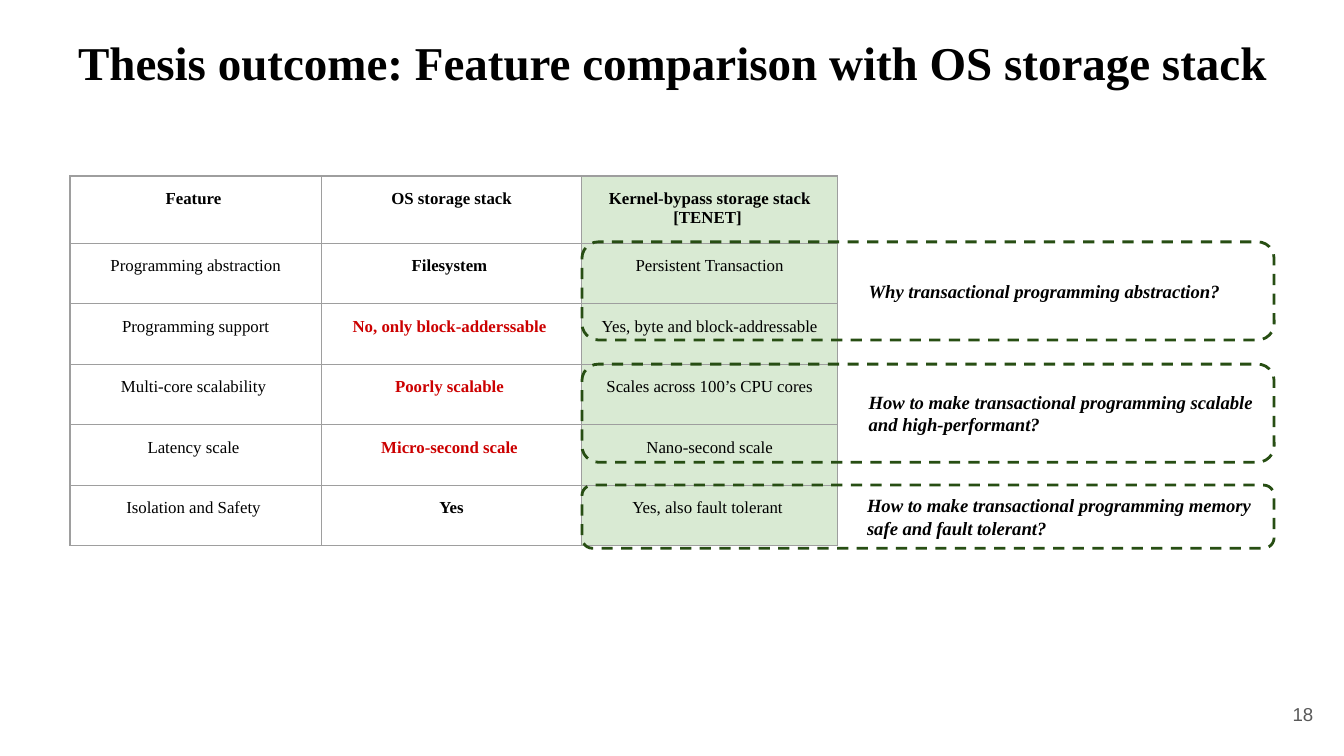
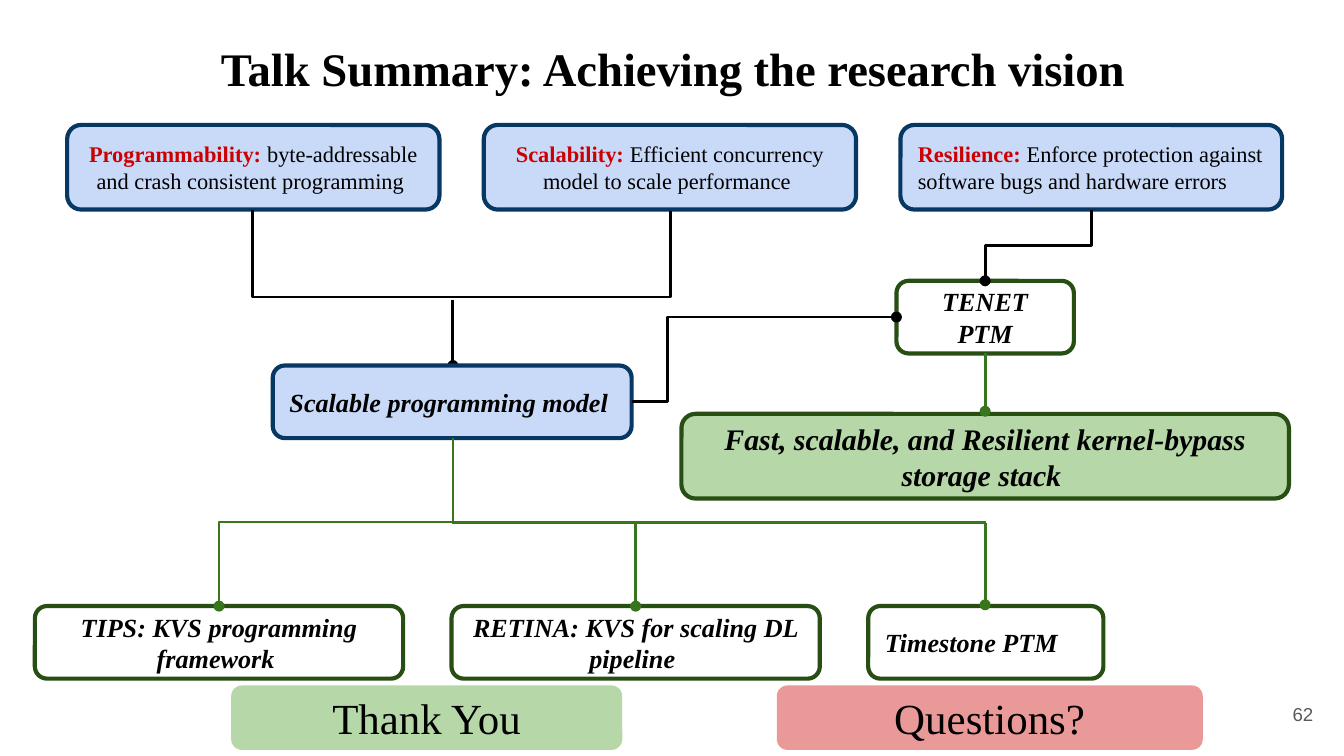
from lxml import etree
from pptx import Presentation
from pptx import util as u
from pptx.dml.color import RGBColor
from pptx.enum import dml, shapes, text
from pptx.oxml import ns

# Grid shared by both slides: 100 columns by 56.25 rows
SLIDE_W, SLIDE_H = u.Inches(10), u.Inches(5.625)
COL, ROW = SLIDE_W / 100, SLIDE_H / 56.25

COLORS = {
    "ink": "000000", "alert": "CC0000", "number": "595959",
    "rule": "9E9E9E", "column": "D9EAD3",
    "navy": "073763", "sky": "C9DAF8",
    "forest": "274E13", "leaf": "38761D", "mint": "B6D7A8", "rose": "EA9999",
}
SERIF, SANS = "Times New Roman", "Arial"
LEFT, CENTER, RIGHT = (text.PP_ALIGN.LEFT, text.PP_ALIGN.CENTER, text.PP_ALIGN.RIGHT)
TOP, MIDDLE, BOTTOM = (text.MSO_ANCHOR.TOP, text.MSO_ANCHOR.MIDDLE, text.MSO_ANCHOR.BOTTOM)
STRONG = {"bold": True, "italic": True}


def rgb(name):
    return RGBColor.from_string(COLORS[name])


def cols(count):
    return u.Emu(round(count * COL))


def rows(count):
    return u.Emu(round(count * ROW))


def place(left, top, width, height):
    return cols(left), rows(top), cols(width), rows(height)


def set_all(target, values):
    for name, value in values.items():
        setattr(target, name, value)


def sub(parent, tag, **attributes):
    return etree.SubElement(parent, ns.qn(tag), attributes)


# Text
def write(frame, lines, size, align=CENTER, anchor=MIDDLE, inset=1, font=SERIF,
          color="ink", indent=0, **style):
    """Each line is a string or a list of (string, overrides) spans."""
    margins = {f"margin_{side}": cols(inset) for side in ("left", "right", "top", "bottom")}
    set_all(frame, {"word_wrap": True, "vertical_anchor": anchor, **margins})
    for index, line in enumerate(lines):
        para = frame.paragraphs[0] if index == 0 else frame.add_paragraph()
        para.alignment = align
        if indent:
            properties = para._p.get_or_add_pPr()
            properties.set("marL", str(cols(indent)))
            properties.set("indent", "0")
        for words, changes in [(line, {})] if isinstance(line, str) else line:
            values = {"color": color, **style, **changes}
            span = para.add_run()
            span.text = words
            span.font.color.rgb = rgb(values.pop("color"))
            set_all(span.font, {"name": font, "size": u.Pt(size), **values})


def text_box(page, spot, words, size, **style):
    box = page.shapes.add_textbox(*place(*spot))
    write(box.text_frame, [words], size, **style)


def title(page, words, size, height, **style):
    text_box(page, (3, 1.5, 95, height), words, size, bold=True, **style)


def page_number(page, number):
    text_box(page, (92.7, 51, 6, 4.3), str(number), 10, align=RIGHT, font=SANS, color="number")


# Shapes
def rounded_box(page, spot, line, size, fill=None, edge=None, weight=2.25, dash=None, **style):
    box = page.shapes.add_shape(shapes.MSO_SHAPE.ROUNDED_RECTANGLE, *place(*spot))
    box.shadow.inherit = False
    if fill:
        box.fill.solid()
        box.fill.fore_color.rgb = rgb(fill)
    else:
        box.fill.background()
    if edge:
        box.line.color.rgb = rgb(edge)
        set_all(box.line, {"width": u.Pt(weight), "dash_style": dash})
    else:
        box.line.fill.background()
    write(box.text_frame, [line], size, **style)


# Connectors
def connector(page, start, end, color, kind="line", dot=True, bend=None):
    elbow = kind.startswith("bent")
    shape = page.shapes.add_connector(
        shapes.MSO_CONNECTOR.ELBOW if elbow else shapes.MSO_CONNECTOR.STRAIGHT,
        cols(start[0]), rows(start[1]), cols(end[0]), rows(end[1]))
    shape.line.color.rgb = rgb(color)
    shape.line.width = u.Pt(1.5)
    properties = shape._element.spPr
    geometry = properties.find(ns.qn("a:prstGeom"))
    geometry.set("prst", kind)
    if bend is not None:
        guides = geometry.find(ns.qn("a:avLst"))
        if guides is None:
            guides = sub(geometry, "a:avLst")
        sub(guides, "a:gd", name="adj1", fmla=f"val {round(bend * 100000)}")
    if dot:
        sub(properties.find(ns.qn("a:ln")), "a:tailEnd", type="oval")
    sub(properties, "a:effectLst")
    return shape


def drop(page, start, end, color, **options):
    """Elbow that leaves downwards: a sideways elbow turned a quarter."""
    (x1, y1), (x2, y2) = start, end
    mid_x, mid_y = (x1 + x2) / 2, (y1 + y2) / 2
    half_w, half_h = (y2 - y1) / 2, abs(x2 - x1) / 2
    side = 1 if x2 > x1 else -1
    shape = connector(page, (mid_x + side * half_w, mid_y - half_h),
                      (mid_x - side * half_w, mid_y + half_h),
                      color, "bentConnector3", **options)
    shape.rotation = 270 if side > 0 else 90


# Table
def border(cell):
    properties = cell._tc.get_or_add_tcPr()
    for index, side in enumerate(("a:lnL", "a:lnR", "a:lnT", "a:lnB")):
        line = etree.Element(ns.qn(side), w=str(u.Pt(0.75)))
        sub(sub(line, "a:solidFill"), "a:srgbClr", val=COLORS["rule"])
        properties.insert(index, line)


def feature_table(page, records, widths, heights):
    frame = page.shapes.add_table(len(records), len(widths),
                                  *place(5.2, 13.1, sum(widths), sum(heights)))
    table = frame.table
    set_all(table, {"first_row": False, "horz_banding": False})
    for column, width in zip(table.columns, widths):
        column.width = cols(width)
    for row, height in zip(table.rows, heights):
        row.height = rows(height)
    for r, record in enumerate(records):
        for c, words in enumerate(record):
            cell = table.cell(r, c)
            if c == 2:
                cell.fill.solid()
                cell.fill.fore_color.rgb = rgb("column")
            else:
                cell.fill.background()
            border(cell)
            weak = c == 1 and r in (2, 3, 4)
            write(cell.text_frame, words.split("\n"), 9, bold=r == 0 or c == 1,
                  color="alert" if weak else "ink")
            margins = ("margin_left", "margin_right", "margin_top", "margin_bottom")
            set_all(cell, {"vertical_anchor": TOP, **dict.fromkeys(margins, cols(1))})


FEATURES = [
    ("Feature ", "OS storage stack", "Kernel-bypass storage stack\n[TENET] "),
    ("Programming abstraction", "Filesystem ", "Persistent Transaction"),
    ("Programming support", "No, only block-adderssable ", "Yes, byte and block-addressable"),
    ("Multi-core scalability ", "Poorly scalable ", "Scales across 100’s CPU cores"),
    ("Latency scale ", "Micro-second scale ", "Nano-second scale"),
    ("Isolation and Safety ", "Yes", "Yes, also fault tolerant "),
]
QUESTIONS = [
    (18, 7.3, "Why transactional programming abstraction?"),
    (27.1, 7.3, "How to make transactional programming scalable and high-performant?"),
    (36.1, 4.7, "How to make transactional programming memory safe and fault tolerant?"),
]
GOALS = [
    (5, 27.7, CENTER, "Programmability: ", "byte-addressable and crash consistent programming "),
    (36, 27.7, CENTER, "Scalability: ", "Efficient concurrency model to scale performance "),
    (67, 28.4, LEFT, "Resilience: ",
     "Enforce protection against software bugs and hardware errors"),
]
SYSTEMS = [
    (2.6, 27.4, CENTER, "TIPS: KVS programming framework "),
    (33.6, 27.4, CENTER, "RETINA: KVS for scaling DL pipeline "),
    (64.6, 17.5, LEFT, "Timestone PTM"),
]


def comparison_slide(page):
    title(page, "Thesis outcome: Feature comparison with OS storage stack ", 25.2, 6, anchor=TOP)
    page_number(page, 18)
    feature_table(page, FEATURES, (18.7, 19.4, 19), [3.4] + [4.5] * 5)
    for top, height, question in QUESTIONS:
        rounded_box(page, (43.3, top, 51.5, height), question, 10, edge="forest", weight=1.5,
                    dash=dml.MSO_LINE.DASH, align=LEFT, indent=20, **STRONG)


def summary_slide(page):
    page_number(page, 62)
    title(page, "Talk Summary: Achieving the research vision ", 25, 6.3, anchor=BOTTOM, inset=0.7)

    # Goals
    for left, width, align, name, aim in GOALS:
        spans = [(name, {"color": "alert", "bold": True}), (aim, {})]
        rounded_box(page, (left, 9.3, width, 6.3), spans, 12, fill="sky", edge="navy", align=align)

    # Programming model, fed by the first two goals
    drop(page, (18.8, 15.6), (49.9, 15.7), "ink", dot=False, bend=66)
    connector(page, (33.7, 22.3), (33.7, 27.2), "ink")
    rounded_box(page, (20.3, 27.2, 26.7, 5.4), "Scalable programming model", 14,
                fill="sky", edge="navy", align=LEFT, **STRONG)

    # Systems built on the model
    for left, width, align, name in SYSTEMS:
        rounded_box(page, (left, 45.1, width, 5.4), name, 14, edge="forest", align=align, **STRONG)
    drop(page, (33.7, 32.6), (16.3, 45.1), "leaf", bend=0.5)
    connector(page, (33.6, 38.9), (47.3, 45.1), "leaf", "bentConnector2")
    connector(page, (47.3, 38.9), (73.4, 38.9), "leaf", dot=False)
    connector(page, (73.3, 38.9), (73.3, 45), "leaf")

    # Resilient branch
    rounded_box(page, (66.7, 20.9, 13.2, 5.4), "TENET PTM", 14, edge="forest", **STRONG)
    drop(page, (81.2, 15.6), (73.3, 20.9), "ink", bend=0.5)
    connector(page, (47, 29.9), (66.7, 23.6), "ink", "bentConnector3", bend=0.135)
    rounded_box(page, (50.7, 30.8, 45.2, 6.3),
                "Fast, scalable, and Resilient kernel-bypass storage stack ", 16,
                fill="mint", edge="forest", **STRONG)
    connector(page, (73.3, 26.3), (73.3, 30.6), "leaf")

    # Closing
    rounded_box(page, (57.8, 51, 31.7, 4.8), "Questions?", 23, fill="rose")
    rounded_box(page, (17.2, 51, 29.1, 4.8), "Thank You", 23, fill="mint")


def main():
    deck = Presentation()
    set_all(deck, {"slide_width": SLIDE_W, "slide_height": SLIDE_H})
    for build in (comparison_slide, summary_slide):
        build(deck.slides.add_slide(deck.slide_layouts[6]))
    deck.save("out.pptx")


if __name__ == "__main__":
    main()
